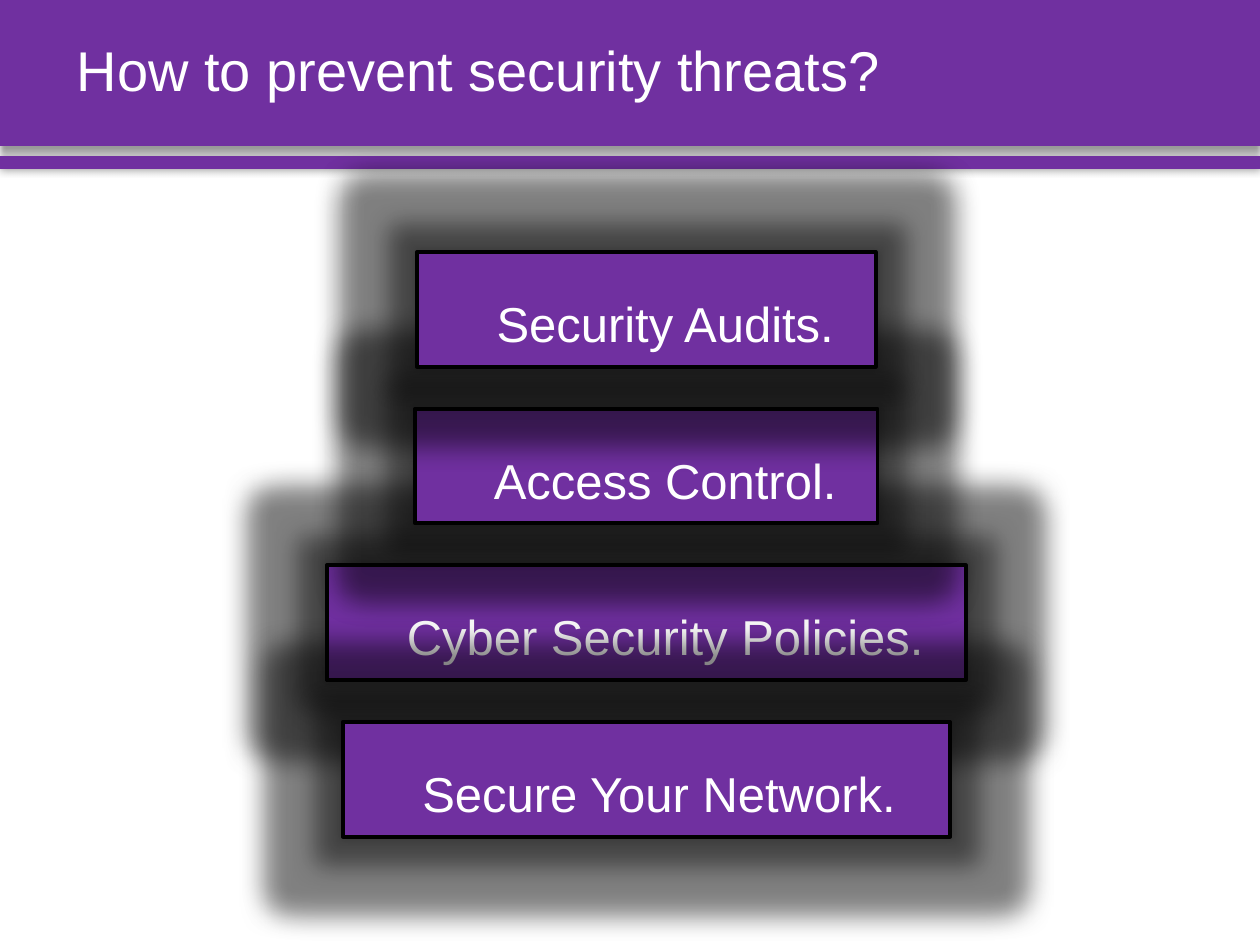
import pptx
import pptx.dml.color
import pptx.enum.shapes
import pptx.enum.text
import pptx.oxml
import pptx.oxml.ns
import pptx.util

COLOURS = {"purple": "7030A0", "black": "000000", "white": "FFFFFF"}
FONT = "Arial"
SLIDE_WIDTH, SLIDE_HEIGHT = 10, 7.5
# Measures from top to bottom: wording, box width, right inset, drawing order
MEASURES = [
    ("Security Audits.", 3.64, 0.3, 3),
    ("Access Control.", 3.67, 0.3, 1),
    ("Cyber Security Policies.", 5.07, 0.3, 0),
    ("Secure Your Network.", 4.82, 0.4, 2),
]


def colour(name):
    return pptx.dml.color.RGBColor.from_string(COLOURS[name])


def add_effects(shape, blur, distance=0, direction=0, glow=0):
    """Add a translucent black shadow, and a glow where a radius is given; sizes in points."""
    tint = f'<a:srgbClr val="{COLOURS["black"]}"><a:alpha val="40000"/></a:srgbClr>'
    glow_xml = f'<a:glow rad="{pptx.util.Pt(glow)}">{tint}</a:glow>' if glow else ""
    shape._element.spPr.append(pptx.oxml.parse_xml(
        f'<a:effectLst {pptx.oxml.ns.nsdecls("a")}>{glow_xml}'
        f'<a:outerShdw blurRad="{pptx.util.Pt(blur)}" dist="{pptx.util.Pt(distance)}" '
        f'dir="{direction * 60000}" algn="ctr" rotWithShape="0">{tint}</a:outerShdw>'
        "</a:effectLst>"))


def add_box(slide, left, top, width, height, outline=None):
    shape = slide.shapes.add_shape(
        pptx.enum.shapes.MSO_SHAPE.RECTANGLE,
        *(pptx.util.Inches(value) for value in (left, top, width, height)))
    shape.fill.solid()
    shape.fill.fore_color.rgb = colour("purple")
    if outline:
        shape.line.color.rgb = colour("black")
        shape.line.width = pptx.util.Pt(outline)
    else:
        shape.line.fill.background()
    return shape


def write_text(shape, text, size, align, anchor, line_spacing, wrap=True, indent=0):
    frame = shape.text_frame
    frame.text = text
    frame.word_wrap = wrap
    frame.auto_size = pptx.enum.text.MSO_AUTO_SIZE.NONE
    frame.vertical_anchor = anchor
    paragraph = frame.paragraphs[0]
    paragraph.alignment = align
    paragraph.line_spacing = line_spacing
    paragraph.space_before = pptx.util.Pt(0)
    if indent:
        properties = paragraph._p.get_or_add_pPr()
        properties.set("marL", str(pptx.util.Inches(indent)))
        properties.set("indent", "0")
    font = paragraph.runs[0].font
    font.name = FONT
    font.size = pptx.util.Pt(size)
    font.color.rgb = colour("white")


def add_header(slide, left, top, width, height):
    band_height = height * 0.865
    rule_top = top + height * 0.925
    band = add_box(slide, left, top, width, band_height)
    add_effects(band, blur=4, distance=3, direction=90)
    rule = add_box(slide, left, rule_top, width, top + height - rule_top)
    add_effects(rule, blur=5)

    title = slide.shapes.title
    slide.shapes._spTree.append(title._element)  # bring in front of the band
    title.left = pptx.util.Inches(left + 0.51)
    title.top = pptx.util.Inches(top)
    title.width = pptx.util.Inches(width - 0.75)
    title.height = pptx.util.Inches(band_height)
    write_text(title, "How to prevent security threats?", size=32,
               align=pptx.enum.text.PP_ALIGN.LEFT,
               anchor=pptx.enum.text.MSO_ANCHOR.MIDDLE, line_spacing=0.9)


def add_measures(slide, left, top, width, height):
    """Stack the measures, centred, at equal steps down the given area."""
    box_height = 0.91
    step = (height - box_height) / (len(MEASURES) - 1)
    rows = sorted(enumerate(MEASURES), key=lambda row: row[1][3])
    for row, (text, box_width, right_inset, _) in rows:
        box = add_box(slide, left + (width - box_width) / 2, top + row * step,
                      box_width, box_height, outline=2.25)
        add_effects(box, blur=5, glow=30)
        write_text(box, text, size=28, align=pptx.enum.text.PP_ALIGN.CENTER,
                   anchor=pptx.enum.text.MSO_ANCHOR.TOP, line_spacing=1.6,
                   wrap=False, indent=0.5)
        box.text_frame.margin_right = pptx.util.Inches(right_inset)
        box.text_frame.margin_bottom = pptx.util.Inches(0.1)


def main():
    presentation = pptx.Presentation()
    presentation.slide_width = pptx.util.Inches(SLIDE_WIDTH)
    presentation.slide_height = pptx.util.Inches(SLIDE_HEIGHT)
    slide = presentation.slides.add_slide(presentation.slide_layouts.get_by_name("Title Only"))
    add_header(slide, 0, 0, SLIDE_WIDTH, 1.34)
    add_measures(slide, 2.6, 2, 5.06, 4.64)
    presentation.save("out.pptx")


if __name__ == "__main__":
    main()
